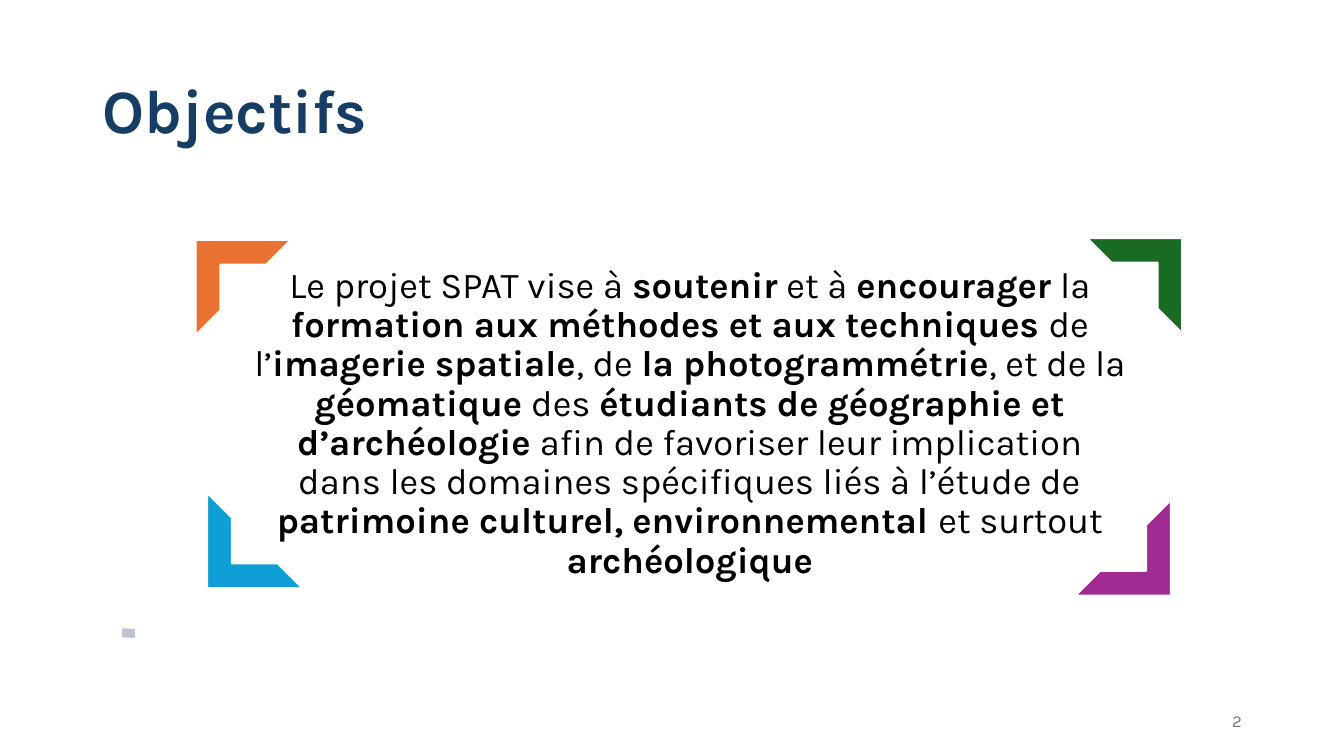
from dataclasses import dataclass

from pptx import Presentation
from pptx import util as u
from pptx.dml.color import RGBColor
from pptx.enum import shapes, text


@dataclass(frozen=True)
class Theme:
    """Colours, font and type sizes of the deck."""
    font: str = "Karla"
    title: str = "163E64"
    body: str = "000000"
    muted: str = "767676"
    outline: str = "FFFFFF"
    marker: str = "BCC5CD"
    title_size: int = 44
    body_size: int = 26
    number_size: int = 12


THEME = Theme()
CORNER_SIZE = 68.2
CORNERS = [
    (0, 0, 0, "E97132"),
    (636.6, -1.4, 90, "196B24"),
    (8.2, 180.5, 270, "0F9ED5"),
    (628.4, 185.8, 180, "A02B93"),
]
GOAL = [
    ("Le projet SPAT vise à ", False),
    ("soutenir", True),
    (" et à ", False),
    ("encourager", True),
    (" la ", False),
    ("formation aux méthodes et aux techniques", True),
    (" de l’", False),
    ("imagerie spatiale", True),
    (", de ", False),
    ("la photogrammétrie", True),
    (", et de la ", False),
    ("géomatique", True),
    (" des ", False),
    ("étudiants de géographie et d’archéologie", True),
    (" afin de favoriser leur implication dans les domaines spécifiques"
     " liés à l’étude de ", False),
    ("patrimoine culturel, environnemental ", True),
    ("et surtout ", False),
    ("archéologique", True),
]


def points(box):
    """Turn a left, top, width, height box into lengths."""
    return [u.Pt(value) for value in box]


def style(span, size, colour, bold=False):
    """Format one run."""
    span.font.name = THEME.font
    span.font.size = u.Pt(size)
    span.font.bold = bold
    span.font.color.rgb = RGBColor.from_string(colour)


def add_block(slide, kind, box, rotation, colour):
    """Add a filled shape with the thin white outline."""
    block = slide.shapes.add_shape(kind, *points(box))
    block.rotation = rotation
    block.shadow.inherit = False
    block.fill.solid()
    block.fill.fore_color.rgb = RGBColor.from_string(colour)
    block.line.color.rgb = RGBColor.from_string(THEME.outline)
    block.line.width = u.Pt(1.5)
    return block


def add_textbox(slide, box):
    """Add a wrapping, vertically centred text box and return its frame."""
    frame = slide.shapes.add_textbox(*points(box)).text_frame
    frame.word_wrap = True
    frame.vertical_anchor = text.MSO_ANCHOR.MIDDLE
    return frame


def add_title(slide, box, wording):
    """Place and format the title placeholder."""
    title = slide.shapes.title
    title.left, title.top, title.width, title.height = points(box)
    frame = title.text_frame
    frame.text = wording
    frame.auto_size = text.MSO_AUTO_SIZE.NONE
    frame.vertical_anchor = text.MSO_ANCHOR.MIDDLE
    para = frame.paragraphs[0]
    para.alignment = text.PP_ALIGN.LEFT
    para.line_spacing = 0.9
    style(para.runs[0], THEME.title_size, THEME.title, True)


def add_goal(slide, box):
    """Add the goal statement framed by four coloured corners."""
    left, top, width, height = box
    frame = add_textbox(slide, (left + 32.4, top + 21.6, width - 63.3, height - 34.4))
    frame.margin_left = frame.margin_right = u.Pt(8)
    frame.margin_top = frame.margin_bottom = u.Pt(8)
    para = frame.paragraphs[0]
    para.alignment = text.PP_ALIGN.CENTER
    para.line_spacing = 0.9
    para.space_after = u.Pt(11)
    for wording, bold in GOAL:
        span = para.add_run()
        span.text = wording
        style(span, THEME.body_size, THEME.body, bold)
    for across, down, rotation, colour in CORNERS:
        corner_box = (left + across, top + down, CORNER_SIZE, CORNER_SIZE)
        corner = add_block(slide, shapes.MSO_SHAPE.HALF_FRAME, corner_box,
                           rotation, colour)
        corner.adjustments[0] = corner.adjustments[1] = 0.26


def add_page_number(slide, box, number):
    """Add the page number at the right of its box."""
    para = add_textbox(slide, box).paragraphs[0]
    para.text = number
    para.alignment = text.PP_ALIGN.RIGHT
    style(para.runs[0], THEME.number_size, THEME.muted)


def main():
    """Build and save the deck."""
    deck = Presentation()
    deck.slide_width, deck.slide_height = u.Pt(960), u.Pt(540)
    slide = deck.slides.add_slide(deck.slide_layouts[5])
    add_block(slide, shapes.MSO_SHAPE.RECTANGLE, (86.4, 448.2, 10.8, 8),
              183.9, THEME.marker)
    add_goal(slide, (139.7, 171.4, 704.8, 254))
    add_title(slide, (66.2, 28.8, 828, 104.4), "Objectifs")
    add_page_number(slide, (678.2, 500.4, 216, 28.8), "2")
    deck.save("out.pptx")


if __name__ == "__main__":
    main()
